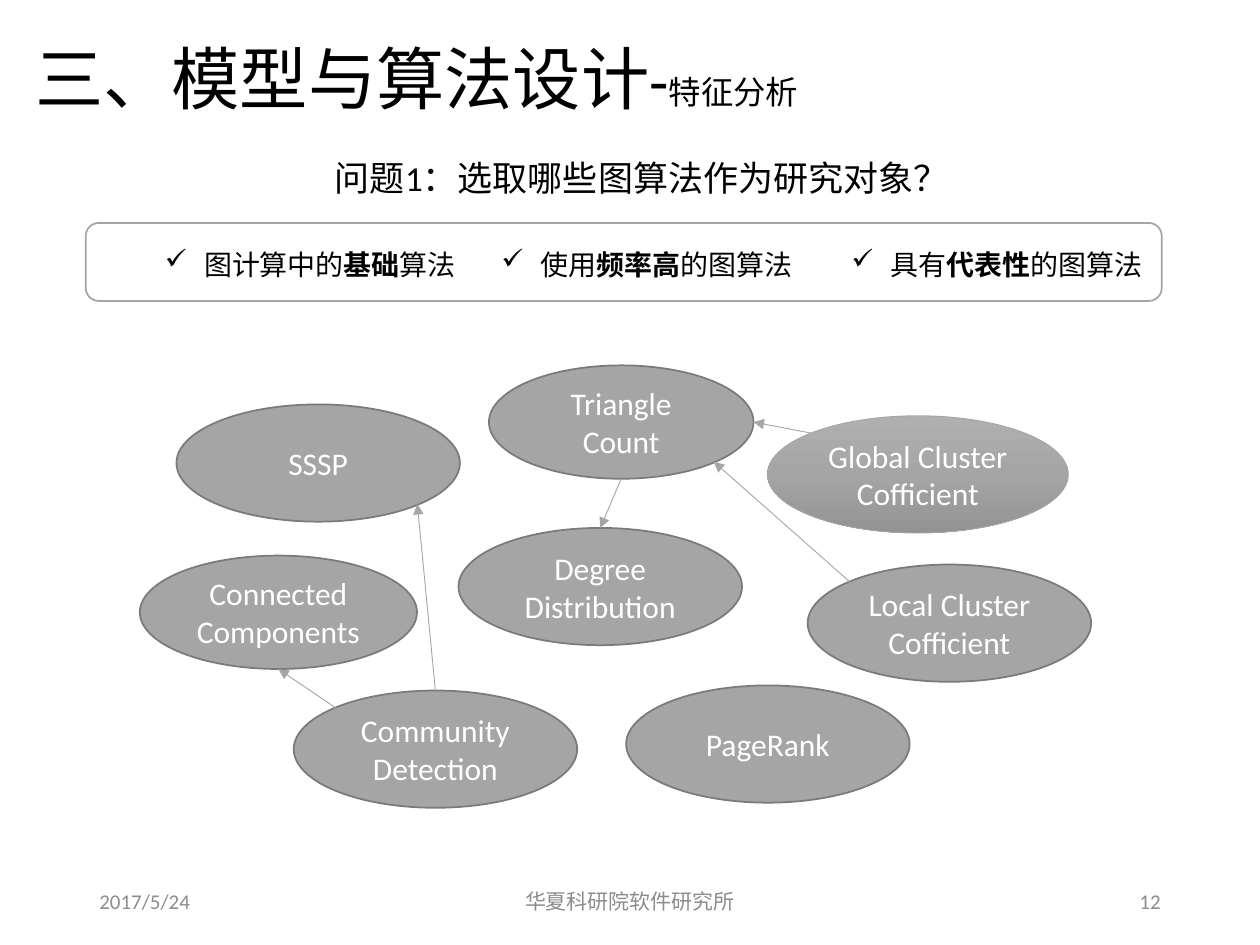
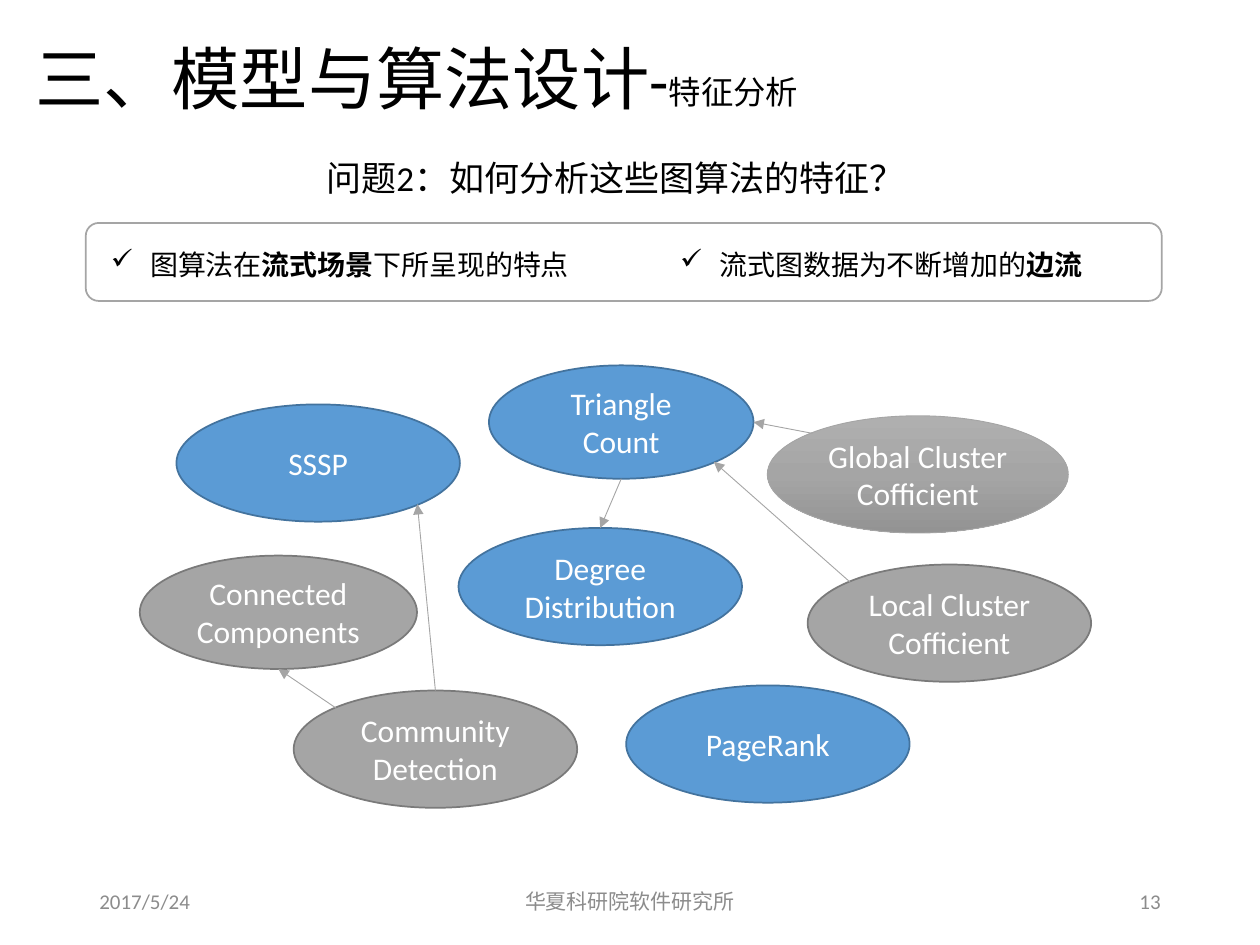
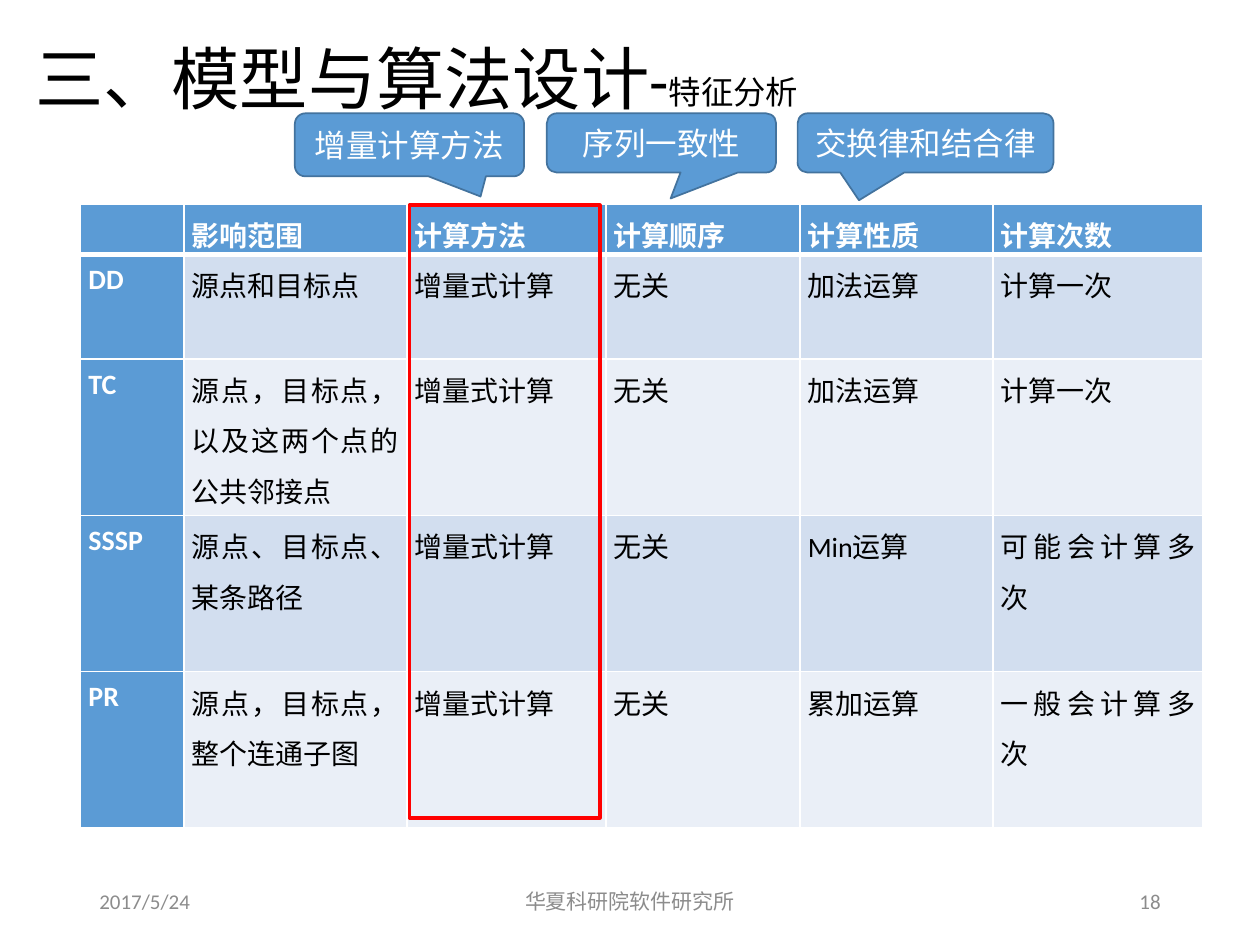
"""Builds three slides on the feature analysis of graph algorithms."""
from pptx import Presentation
from pptx.dml.color import RGBColor
from pptx.enum.shapes import MSO_CONNECTOR, MSO_SHAPE
from pptx.enum.text import MSO_ANCHOR, PP_ALIGN
from pptx.oxml import parse_xml
from pptx.oxml.ns import nsdecls
from pptx.util import Pt

FONT = "Calibri"
COLOURS = {
    "black": "000000", "white": "FFFFFF", "red": "FF0000", "footer": "8C8C8C",
    "grey": "A5A5A5", "grey_edge": "7A7A7A", "grey_light": "AFAFAF", "grey_dark": "939393",
    "blue": "5B9BD5", "blue_edge": "43739E", "band_dark": "D2DEEF", "band_light": "EAEFF7",
}
LEFT, CENTER, RIGHT, JUSTIFY = PP_ALIGN.LEFT, PP_ALIGN.CENTER, PP_ALIGN.RIGHT, PP_ALIGN.JUSTIFY

TITLE = [("三、模型与算法设计", 39), ("-", 36.1), ("特征分析", 18.5)]
DATE, INSTITUTE = "2017/5/24", "华夏科研院软件研究所"

QUESTIONS = [
    {
        "page": "12", "question": "问题1：选取哪些图算法作为研究对象？", "left": 184.3,
        "points": [
            (87.1, 191.5, LEFT, ("图计算中的", "基础", "算法")),
            (279.4, 191.5, LEFT, ("使用", "频率高", "的图算法")),
            (473.8, 191.5, CENTER, ("具有", "代表性", "的图算法")),
        ],
        "chosen": (),
    },
    {
        "page": "13", "question": "问题2：如何分析这些图算法的特征？", "left": 179.3,
        "points": [
            (56.2, 323.3, LEFT, ("图算法在", "流式场景", "下所呈现的特点")),
            (381.6, 247.7, LEFT, ("流式图数据为不断增加的", "边流")),
        ],
        "chosen": ("degree", "triangle", "pagerank", "sssp"),
    },
]

ALGORITHMS = {
    "degree": (["Degree Distribution"], (262, 301.7, 162, 67)),
    "triangle": (["Triangle Count"], (279.4, 208.8, 151.2, 64.8)),
    "pagerank": (["PageRank"], (357.8, 391.7, 162, 67)),
    "sssp": (["SSSP"], (100.8, 231.1, 162, 67)),
    "connected": (["Connected Components"], (79.9, 317.5, 158.4, 64.8)),
    "local": (["Local Cluster", "Cofficient"], (461.5, 322.6, 162, 67)),
    "global": (["Global Cluster", "Cofficient"], (438.5, 237.6, 172, 67)),
    "community": (["Community", "Detection"], (167.8, 394.6, 162, 67)),
}
DEPENDENCIES = [
    ("global", "top left", "triangle", "right"),
    ("local", "top left", "triangle", "bottom right"),
    ("community", "top left", "connected", "bottom"),
    ("community", "top", "sssp", "bottom right"),
    ("triangle", "bottom", "degree", "top"),
]
RIM = {
    "top": (0.5, 0), "bottom": (0.5, 1), "right": (1, 0.5),
    "top left": (0.15, 0.15), "bottom right": (0.85, 0.85),
}

FEATURES = [
    ["", "影响范围", "计算方法", "计算顺序", "计算性质", "计算次数"],
    ["DD", "源点和目标点", "增量式计算", "无关", "加法运算", "计算一次"],
    ["TC", "源点，目标点，以及这两个点的公共邻接点", "增量式计算", "无关", "加法运算", "计算一次"],
    ["SSSP", "源点、目标点、某条路径", "增量式计算", "无关", "Min运算", "可能会计算多次"],
    ["PR", "源点，目标点，整个连通子图", "增量式计算", "无关", "累加运算", "一般会计算多次"],
]
COLUMN_WIDTHS = [59, 127.4, 113.8, 110.9, 110.2, 120.2]
ROW_HEIGHTS = [28.8, 59.8, 89.3, 89.3, 89.3]
REMARKS = [
    ("增量计算方法", (168.5, 64.8, 131, 36), (0.31, 0.82)),
    ("序列一致性", (312.5, 64.8, 131, 33.8), (0.04, 0.94)),
    ("交换律和结合律", (455.8, 64.8, 146.2, 33.8), (-0.26, 0.97)),
]


def rgb(colour):
    return RGBColor.from_string(COLOURS[colour])


def add_run(paragraph, text, size, colour="black", bold=False):
    run = paragraph.add_run()
    run.text = text
    run.font.name, run.font.size, run.font.bold = FONT, Pt(size), bold
    run.font.color.rgb = rgb(colour)


def add_text(slide, box, runs, colour="black", align=LEFT, anchor=MSO_ANCHOR.TOP):
    frame = slide.shapes.add_textbox(*map(Pt, box)).text_frame
    frame.word_wrap, frame.vertical_anchor = True, anchor
    paragraph = frame.paragraphs[0]
    paragraph.alignment = align
    for text, size, *bold in runs:
        add_run(paragraph, text, size, colour, *bold)
    return paragraph


def add_figure(slide, kind, box, fill, edge, weight=1, lines=()):
    figure = slide.shapes.add_shape(kind, *map(Pt, box))
    figure.shadow.inherit = False
    if fill:
        figure.fill.solid()
        figure.fill.fore_color.rgb = rgb(fill)
    else:
        figure.fill.background()
    figure.line.color.rgb, figure.line.width = rgb(edge), Pt(weight)
    frame = figure.text_frame
    frame.vertical_anchor = MSO_ANCHOR.MIDDLE
    for index, line in enumerate(lines):
        paragraph = frame.add_paragraph() if index else frame.paragraphs[0]
        paragraph.alignment = CENTER
        add_run(paragraph, line, 18, "white")
    return figure


def add_callout(slide, box, tip, fill, edge, lines=()):
    callout = add_figure(slide, MSO_SHAPE.ROUNDED_RECTANGULAR_CALLOUT, box, fill, edge, lines=lines)
    callout.adjustments[0], callout.adjustments[1] = tip


def shade_grey(ellipse):
    stops = "".join(
        f'<a:gs pos="{place * 1000}"><a:srgbClr val="{COLOURS[colour]}"/></a:gs>'
        for place, colour in ((0, "grey_light"), (50, "grey"), (100, "grey_dark")))
    solid = ellipse.element.spPr.find("{*}solidFill")
    solid.getparent().replace(solid, parse_xml(
        f'<a:gradFill {nsdecls("a")} rotWithShape="1"><a:gsLst>{stops}</a:gsLst>'
        '<a:lin ang="5400000" scaled="0"/></a:gradFill>'))


def rim_point(algorithm, side):
    left, top, width, height = ALGORITHMS[algorithm][1]
    across, down = RIM[side]
    return Pt(left + across * width), Pt(top + down * height)


def add_arrow(slide, source, source_side, target, target_side):
    arrow = slide.shapes.add_connector(
        MSO_CONNECTOR.STRAIGHT, *rim_point(source, source_side), *rim_point(target, target_side))
    arrow.line.color.rgb, arrow.line.width = rgb("grey"), Pt(0.5)
    arrow.line._get_or_add_ln().append(parse_xml(f'<a:tailEnd {nsdecls("a")} type="triangle"/>'))
    arrow._element.spPr.append(parse_xml(f'<a:effectLst {nsdecls("a")}/>'))


def add_point(slide, left, width, align, parts):
    runs = [(part, 16, index == 1) for index, part in enumerate(parts)]
    properties = add_text(slide, (left, 138, width, 26.6), runs, align=align)._p.get_or_add_pPr()
    properties.set("marL", str(Pt(22.5)))
    properties.set("indent", str(-Pt(22.5)))
    properties.append(parse_xml(f'<a:buChar {nsdecls("a")} char="✓"/>'))


def add_frame(slide, page):
    title = add_text(slide, (13, 21.6, 620.6, 51.1), TITLE, anchor=MSO_ANCHOR.MIDDLE)
    title.line_spacing = 0.9
    for text, left, width, align in (
            (DATE, 49.7, 162, LEFT), (INSTITUTE, 238.3, 243.4, CENTER), (page, 508.3, 162, RIGHT)):
        add_text(slide, (left, 500.4, width, 28.8), [(text, 12)], "footer", align, MSO_ANCHOR.MIDDLE)


def add_algorithms(slide, chosen):
    for key, (lines, box) in ALGORITHMS.items():
        fill = "blue" if key in chosen else "grey"
        shaded = key == "global"
        edge, weight = ("grey", 0.5) if shaded else (fill + "_edge", 1)
        ellipse = add_figure(slide, MSO_SHAPE.OVAL, box, fill, edge, weight, lines)
        if shaded:
            shade_grey(ellipse)
    for dependency in DEPENDENCIES:
        add_arrow(slide, *dependency)


def add_question(slide, content):
    add_text(slide, (content["left"], 85.7, 479.5, 31.7), [(content["question"], 20)])
    add_callout(slide, (49, 127.4, 614.9, 44.6), (0.03, 0.5), "white", "grey")
    for point in content["points"]:
        add_point(slide, *point)
    add_algorithms(slide, content["chosen"])
    add_frame(slide, content["page"])


def border_cell(cell, row):
    weights = {"lnL": 1, "lnR": 1, "lnT": 3 if row == 1 else 1, "lnB": 1 if row else 3}
    for index, (side, weight) in enumerate(weights.items()):
        cell._tc.get_or_add_tcPr().insert(index, parse_xml(
            f'<a:{side} {nsdecls("a")} w="{Pt(weight)}"><a:solidFill>'
            f'<a:srgbClr val="{COLOURS["white"]}"/></a:solidFill></a:{side}>'))


def add_features(slide):
    features = slide.shapes.add_table(
        len(FEATURES), len(COLUMN_WIDTHS), Pt(46.1), Pt(116.6),
        Pt(sum(COLUMN_WIDTHS)), Pt(sum(ROW_HEIGHTS))).table
    for column, width in zip(features.columns, COLUMN_WIDTHS):
        column.width = Pt(width)
    for row, (texts, height) in enumerate(zip(FEATURES, ROW_HEIGHTS)):
        features.rows[row].height = Pt(height)
        for column, text in enumerate(texts):
            cell = features.cell(row, column)
            heading = row == 0 or column == 0
            cell.fill.solid()
            cell.fill.fore_color.rgb = rgb(
                "blue" if heading else "band_dark" if row % 2 else "band_light")
            cell.margin_left = cell.margin_right = Pt(4.5)
            cell.margin_top = cell.margin_bottom = 0
            border_cell(cell, row)
            paragraph = cell.text_frame.paragraphs[0]
            paragraph.alignment, paragraph.line_spacing = JUSTIFY, 1.25
            if text:
                add_run(paragraph, text, 16, "white" if heading else "black", heading)


def main():
    deck = Presentation()
    deck.slide_width, deck.slide_height = Pt(720), Pt(540)
    blank = deck.slide_layouts[6]
    for content in QUESTIONS:
        add_question(deck.slides.add_slide(blank), content)
    comparison = deck.slides.add_slide(blank)
    add_features(comparison)
    add_figure(comparison, MSO_SHAPE.RECTANGLE, (234, 117.4, 108.7, 349.9), None, "red", 2.25)
    for remark, box, tip in REMARKS:
        add_callout(comparison, box, tip, "blue", "blue_edge", [remark])
    add_frame(comparison, "18")
    deck.save("out.pptx")


if __name__ == "__main__":
    main()
